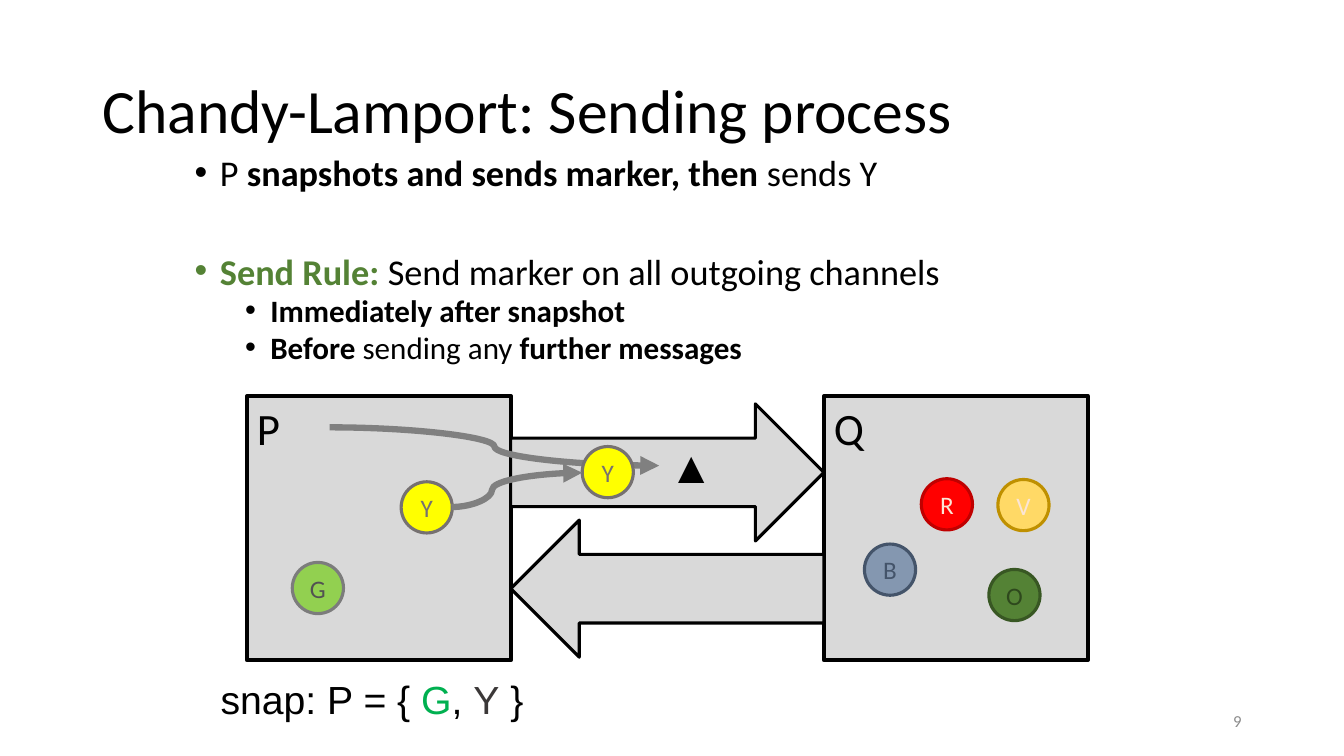
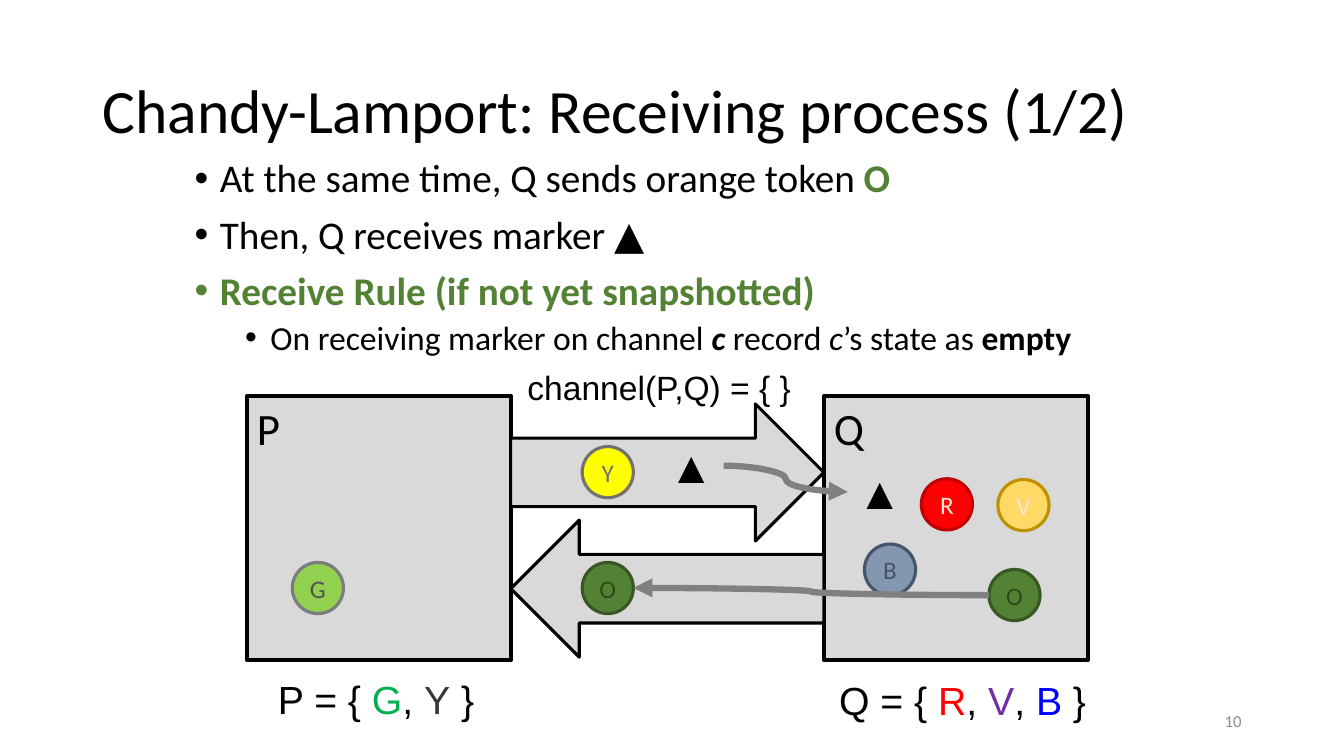
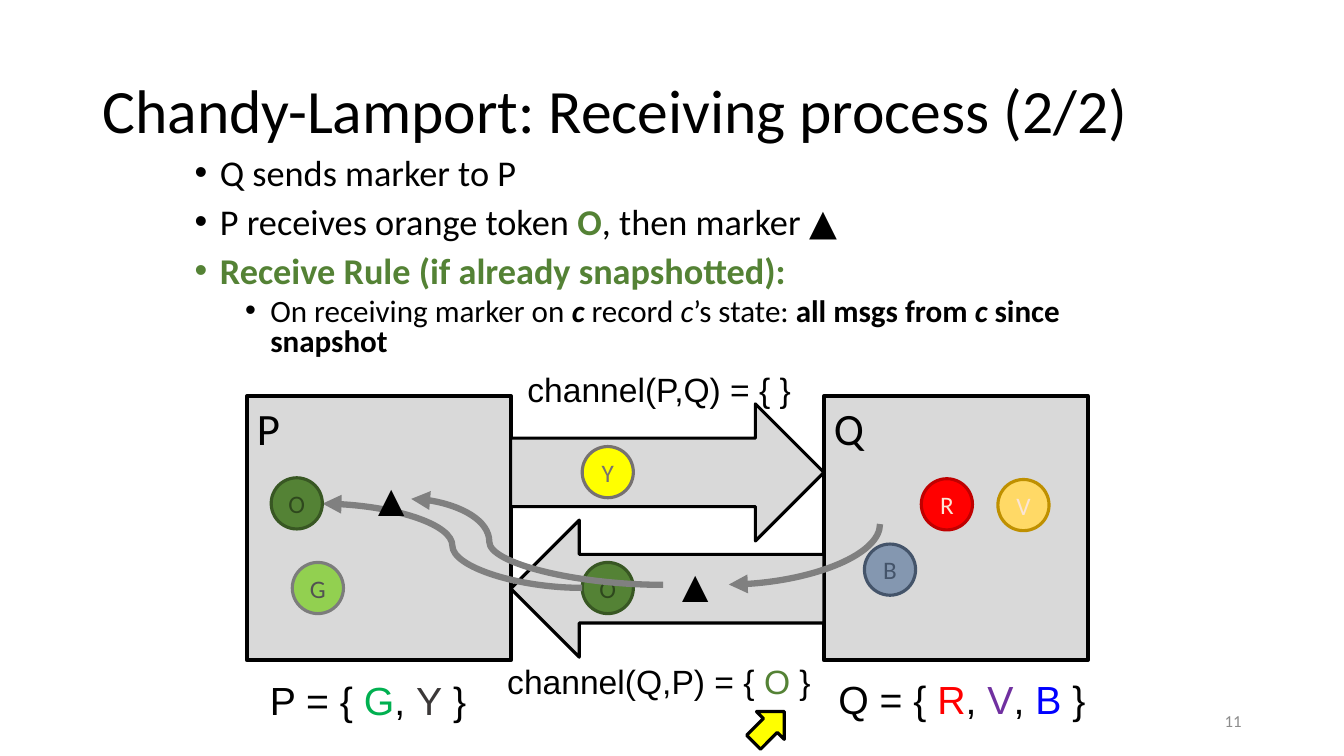
from lxml.etree import SubElement
from pptx import Presentation
from pptx.dml.color import RGBColor
from pptx.enum.shapes import MSO_CONNECTOR, MSO_SHAPE
from pptx.enum.text import MSO_ANCHOR, MSO_AUTO_SIZE, PP_ALIGN
from pptx.oxml.ns import qn
from pptx.util import Inches, Pt

WIDTH, HEIGHT = Inches(40 / 3), Inches(7.5)
BLACK, GREY, PANEL, GREEN = "000000", "808080", "D9D9D9", "548235"

# All positions and sizes are percentages of the slide's width and height.
PROCESS_SIZE = (19.62, 34.93)
PROCESS_TOP, P_LEFT, Q_LEFT = 52.4, 18.38, 61.31
CHANNEL_LEFT = P_LEFT + PROCESS_SIZE[0]
CHANNEL_SIZE = (Q_LEFT - CHANNEL_LEFT, 18.13)
CHANNEL_TOPS = {0: 53.43, 180: 68.8}
TOKEN_SIZE = (3.81, 6.77)
MARKER_SIZE = (4.88, 8.53)
IN_TRANSIT, UPPER, LOWER = 43.32, 59.07, 74.4

# Fill, outline and letter colour of each token
TOKENS = {
    "R": ("FF0000", "C00000", "FBE5D6"),
    "G": ("92D050", "7C7C7C", "525252"),
    "B": ("8497B0", "44546A", "44546A"),
    "Y": ("FFFF00", "767171", "767171"),
    "O": (GREEN, "385723", "2E481D"),
    "V": ("FFD966", "BF9000", "FBE5D6"),
}
# Colour of each token's letter in a written state
INKS = {"G": "00B050", "Y": "3B3838", "R": "FF0000",
        "V": "7030A0", "B": "0000FF", "O": GREEN}
# Tokens that rest inside the processes
RESTING = {"R": (68.55, 63.33), "G": (21.75, LOWER), "B": (64.32, 71.97),
           "V": (74.25, 63.43)}
Q_ORANGE = (73.58, 75.33)

BOLD = {"bold": True}
ITALIC = {"italic": True}
BOLD_ITALIC = {"bold": True, "italic": True}
RULE = {"bold": True, "color": GREEN}


def rgb(color):
    return RGBColor.from_string(color)


def place(left, top, width, height):
    return (round(WIDTH * left / 100), round(HEIGHT * top / 100),
            round(WIDTH * width / 100), round(HEIGHT * height / 100))


def write(paragraph, text, size=18, font="Calibri", color=BLACK,
          bold=False, italic=False):
    run = paragraph.add_run()
    run.text = text
    run.font.size, run.font.name = Pt(size), font
    run.font.bold, run.font.italic = bold, italic
    run.font.color.rgb = rgb(color)


def add_box(slide, position, wrap=True, anchor=MSO_ANCHOR.TOP):
    frame = slide.shapes.add_textbox(*place(*position)).text_frame
    frame.word_wrap, frame.vertical_anchor = wrap, anchor
    if not wrap:
        frame.auto_size = MSO_AUTO_SIZE.SHAPE_TO_FIT_TEXT
    return frame


def add_block(slide, kind, position, fill, line=BLACK, width=2.25, rotation=0):
    shape = slide.shapes.add_shape(kind, *place(*position))
    shape.shadow.inherit = False
    shape.fill.solid()
    shape.fill.fore_color.rgb = rgb(fill)
    shape.line.color.rgb = rgb(line)
    shape.line.width = Pt(width)
    shape.rotation = rotation
    return shape


# Text parts
def add_bullets(slide, items, size, spacing, height=30.4):
    """Each item is (level, space before, runs)."""
    frame = add_box(slide, (13.75, 20.37, 71.85, height))
    for index, (level, before, runs) in enumerate(items):
        paragraph = frame.paragraphs[0] if index == 0 else frame.add_paragraph()
        properties = paragraph._p.get_or_add_pPr()
        properties.set("marL", str(Inches(0.25 + 0.5 * level)))
        properties.set("indent", str(-Inches(0.25)))
        SubElement(properties, qn("a:buFont")).set("typeface", "Arial")
        SubElement(properties, qn("a:buChar")).set("char", "•")
        paragraph.level = level
        paragraph.line_spacing = spacing
        paragraph.space_before = Pt(before)
        for text, style in runs:
            write(paragraph, text, size=size[level], **style)


def add_state(slide, name, letters, left, top, width, size=28):
    """Write a state such as name = { G, Y } with coloured letters."""
    frame = add_box(slide, (left, top, width, 7.6 if size == 28 else 6.67), False)
    paragraph = frame.paragraphs[0]
    style = {"size": size, "font": "Arial"}
    write(paragraph, name + " = {", **style)
    for index, letter in enumerate(letters):
        write(paragraph, ", " if index else " ", **style)
        write(paragraph, letter, color=INKS[letter], **style)
    write(paragraph, " }", **style)


# Diagram parts
def add_process(slide, name, left):
    shape = add_block(slide, MSO_SHAPE.RECTANGLE,
                      (left, PROCESS_TOP, *PROCESS_SIZE), PANEL, width=3)
    shape.text_frame.vertical_anchor = MSO_ANCHOR.TOP
    paragraph = shape.text_frame.paragraphs[0]
    paragraph.alignment = PP_ALIGN.LEFT
    write(paragraph, name, size=32)


def add_token(slide, letter, left, top):
    fill, line, ink = TOKENS[letter]
    shape = add_block(slide, MSO_SHAPE.OVAL, (left, top, *TOKEN_SIZE), fill, line)
    frame = shape.text_frame
    frame.margin_left = frame.margin_right = 0
    frame.vertical_anchor = MSO_ANCHOR.MIDDLE
    frame.paragraphs[0].alignment = PP_ALIGN.CENTER
    write(frame.paragraphs[0], letter, color=ink)


def add_marker(slide, left, top):
    frame = add_box(slide, (left, top, *MARKER_SIZE), False)
    write(frame.paragraphs[0], "▲", size=32, font="Arial")


def add_curve(slide, start, end, bend=0.5, quarter=False):
    """Draw an S-curve to its end, or a quarter curve pointing at its start."""
    connector = slide.shapes.add_connector(
        MSO_CONNECTOR.CURVE, *place(*start, *end))
    connector.line.color.rgb = rgb(GREY)
    connector.line.width = Pt(4.5)
    properties = connector._element.spPr
    geometry = properties.find(qn("a:prstGeom"))
    if quarter:
        geometry.set("prst", "curvedConnector2")
    else:
        guide = SubElement(geometry.find(qn("a:avLst")), qn("a:gd"))
        guide.set("name", "adj1")
        guide.set("fmla", f"val {round(bend * 100000)}")
    arrowhead = "a:headEnd" if quarter else "a:tailEnd"
    SubElement(properties.find(qn("a:ln")), qn(arrowhead)).set("type", "triangle")
    SubElement(properties, qn("a:effectLst"))


def start_slide(presentation, title, number):
    """Add a slide with its title, number, processes, channels and tokens."""
    slide = presentation.slides.add_slide(presentation.slide_layouts[6])
    heading = add_box(slide, (6.88, 5.33, 86.25, 19.33), anchor=MSO_ANCHOR.MIDDLE)
    heading.paragraphs[0].line_spacing = 0.9
    write(heading.paragraphs[0], "Chandy-Lamport: " + title, size=44)
    footer = add_box(slide, (70.63, 92.67, 22.5, 5.33), anchor=MSO_ANCHOR.MIDDLE)
    footer.paragraphs[0].alignment = PP_ALIGN.RIGHT
    write(footer.paragraphs[0], str(number), size=12, color="8C8C8C")
    add_process(slide, "P", P_LEFT)
    add_process(slide, "Q", Q_LEFT)
    for rotation, top in CHANNEL_TOPS.items():
        add_block(slide, MSO_SHAPE.RIGHT_ARROW,
                  (CHANNEL_LEFT, top, *CHANNEL_SIZE), PANEL, rotation=rotation)
    for letter, position in RESTING.items():
        add_token(slide, letter, *position)
    return slide


# Slides
def build_sending(presentation):
    slide = start_slide(presentation, "Sending process", 9)
    add_bullets(slide, [
        (0, 0, [("P ", {}), ("snapshots and sends marker, then", BOLD),
                (" sends Y", {})]),
        (0, 45.3, [("Send Rule: ", RULE),
                   ("Send marker on all outgoing channels", {})]),
        (1, 5, [("Immediately after snapshot", BOLD)]),
        (1, 5, [("Before", BOLD), (" sending any ", {}),
                ("further messages", BOLD)]),
    ], size=(25.9, 22.2), spacing=0.8)
    add_token(slide, "Y", 29.85, 63.73)
    add_token(slide, "O", *Q_ORANGE)
    add_state(slide, "snap: P", "GY", 15.68, 88.67, 24.98)
    add_marker(slide, 49.05, 57.33)
    add_curve(slide, (24.53, 56.53), (49.05, 61.6))
    add_token(slide, "Y", IN_TRANSIT, UPPER)
    add_curve(slide, (33.6, 67.07), (IN_TRANSIT, 62.53), bend=0.31)


def build_first_receipt(presentation):
    slide = start_slide(presentation, "Receiving process (1/2)", 10)
    add_bullets(slide, [
        (0, 0, [("At the same time, Q sends orange token ", {}), ("O", RULE)]),
        (0, 10, [("Then, Q receives marker ▲", {})]),
        (0, 10, [("Receive Rule (if not yet snapshotted)", RULE)]),
        (1, 5, [("On receiving marker on channel ", {}), ("c ", BOLD_ITALIC),
                ("record ", {}), ("c", ITALIC), ("’s state as ", {}),
                ("empty", BOLD)]),
    ], size=(28, 24), spacing=0.9)
    add_token(slide, "O", *Q_ORANGE)
    add_state(slide, "P", "GY", 19.95, 88.67, 16.43)
    add_marker(slide, 49.05, 57.33)
    add_token(slide, "Y", IN_TRANSIT, UPPER)
    add_token(slide, "O", IN_TRANSIT, LOWER)
    add_curve(slide, (73.58, 78.73), (47.13, 77.77))
    add_curve(slide, (53.85, 61.6), (63.08, 65.07))
    add_marker(slide, 63.08, 60.8)
    add_state(slide, "Q", "RVB", 61.7, 88.8, 20.25)
    add_state(slide, "channel(P,Q)", "", 38.5, 47.87, 21.3, size=24)


def build_second_receipt(presentation):
    slide = start_slide(presentation, "Receiving process (2/2)", 11)
    add_bullets(slide, [
        (0, 0, [("Q sends marker to P", {})]),
        (0, 10, [("P receives orange token ", {}), ("O", RULE),
                 (", then marker ▲", {})]),
        (0, 10, [("Receive Rule (if already snapshotted):", RULE)]),
        (1, 5, [("On receiving marker on ", {}), ("c ", BOLD_ITALIC),
                ("record ", {}), ("c", ITALIC), ("’s state: ", {}),
                ("all msgs from ", BOLD), ("c", BOLD_ITALIC),
                (" since snapshot", BOLD)]),
    ], size=(25.9, 22.2), spacing=0.8, height=28.8)
    add_state(slide, "P", "GY", 19.35, 88.8, 16.43)
    add_token(slide, "Y", IN_TRANSIT, UPPER)
    add_token(slide, "O", IN_TRANSIT, LOWER)
    add_state(slide, "Q", "RVB", 61.65, 88.67, 20.25)
    add_marker(slide, 49.35, 73.07)
    add_curve(slide, (54.23, 77.33), (65.48, 69.33), quarter=True)
    add_curve(slide, (IN_TRANSIT, 77.77), (24, 66.63))
    add_token(slide, "O", 20.18, 63.2)
    add_curve(slide, (49.35, 77.37), (30.6, 66), bend=0.69)
    add_marker(slide, 26.72, 61.73)
    add_state(slide, "channel(P,Q)", "", 38.5, 48.13, 21.3, size=24)
    add_state(slide, "channel(Q,P)", "O", 37, 86.8, 25.28, size=24)
    add_block(slide, MSO_SHAPE.RIGHT_ARROW, (55.6, 93.55, 3.23, 5.2),
              "FFFF00", rotation=315)


def main():
    presentation = Presentation()
    presentation.slide_width, presentation.slide_height = WIDTH, HEIGHT
    build_sending(presentation)
    build_first_receipt(presentation)
    build_second_receipt(presentation)
    presentation.save("out.pptx")


if __name__ == "__main__":
    main()
